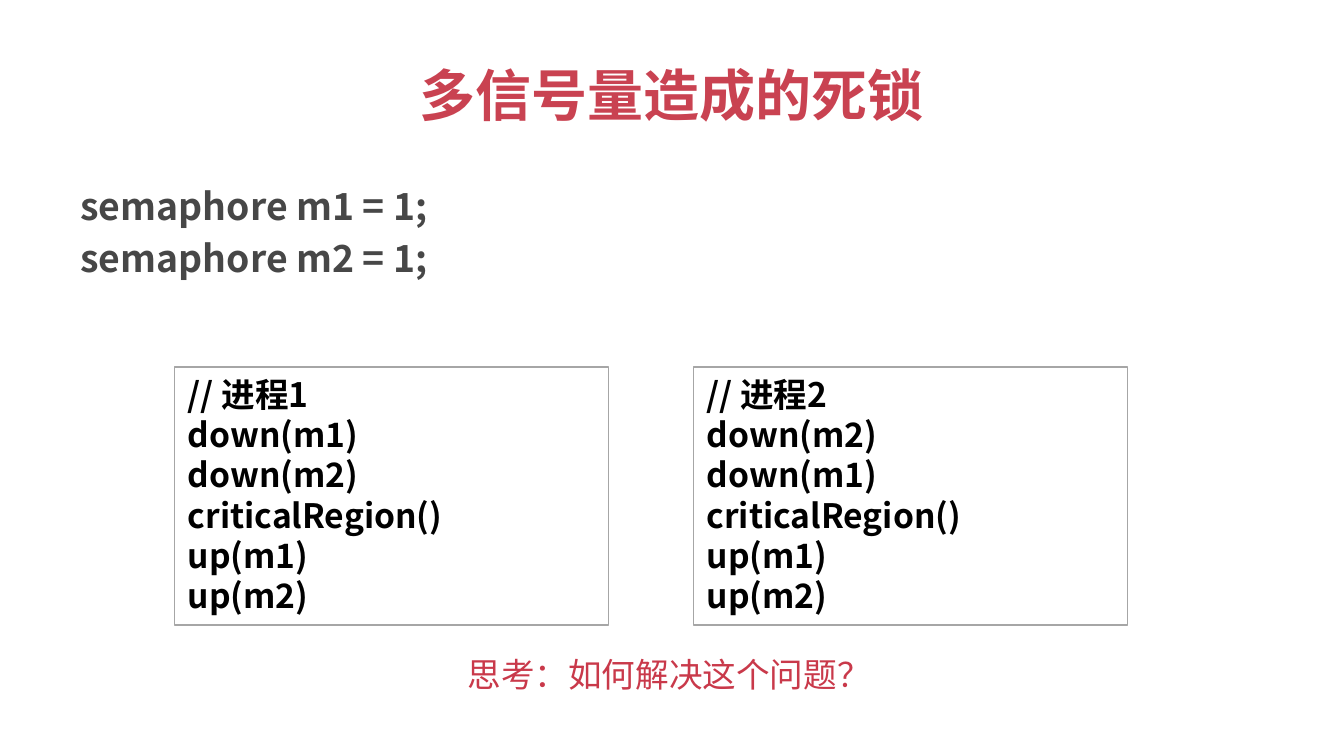
"""Build a slide on deadlock caused by several semaphores."""
from dataclasses import dataclass

from lxml.etree import SubElement
from pptx import Presentation
from pptx.dml.color import RGBColor as RGB
from pptx.enum.shapes import MSO_SHAPE as Shape
from pptx.enum.text import MSO_ANCHOR as Anchor, PP_ALIGN as Align
from pptx.oxml.ns import qn
from pptx.util import Inches, Pt

TITLE = "多信号量造成的死锁"
SETUP = ["semaphore m1 = 1;", "semaphore m2 = 1;"]
TASKS = [
    ["// 进程1 ", "down(m1)", "down(m2)", "criticalRegion()", "up(m1)", "up(m2)"],
    ["// 进程2 ", "down(m2)", "down(m1)", "criticalRegion()", "up(m1)", "up(m2)"],
]
ASK = ["思考：如何解决这个问题？"]


@dataclass(frozen=True)
class Theme:
    font: str = "Noto Sans CJK SC"
    title: str = "C94251"
    setup: str = "474747"
    code: str = "000000"
    ask: str = "C9394A"
    edge: str = "A6A6A6"
    big: int = 30
    mid: int = 20
    small: int = 18
    lead: float = 1.2


THEME = Theme()


def write(frame, lines, size, color, bold=True, align=Align.LEFT, gap=0):
    for i, line in enumerate(lines):
        para = frame.add_paragraph() if i else frame.paragraphs[0]
        para.alignment = align
        para.line_spacing = Pt(size * THEME.lead)
        para.space_before = Pt(gap if i else 0)
        run = para.add_run()
        run.text = line
        font = run.font
        font.name, font.size, font.bold = THEME.font, Pt(size), bold
        font.color.rgb = RGB.from_string(color)
        SubElement(font._element, qn("a:ea"), typeface=THEME.font)


def place(*box):
    return [Inches(n) for n in box]


deck = Presentation()
deck.slide_width, deck.slide_height = place(10, 10 * 9 / 16)
slide = deck.slides.add_slide(deck.slide_layouts[5])
shapes = slide.shapes

title = shapes.title
title.left, title.top, title.width, title.height = place(0.5, 0.23, 9, 0.94)
title.text_frame.vertical_anchor = Anchor.MIDDLE
write(title.text_frame, [TITLE], THEME.big, THEME.title, align=Align.CENTER)

setup = shapes.add_textbox(*place(0.5, 1.31, 3.56, 3.71)).text_frame
setup.word_wrap = True
write(setup, SETUP, THEME.mid, THEME.setup, gap=0.2 * THEME.mid)

LEFT, TOP, WIDE, HIGH, STEP = 1.3, 2.73, 3.23, 1.92, 3.86
for i, lines in enumerate(TASKS):
    box = shapes.add_shape(Shape.RECTANGLE, *place(LEFT + i * STEP, TOP, WIDE, HIGH))
    box.shadow.inherit = False
    box.fill.background()
    box.line.color.rgb = RGB.from_string(THEME.edge)
    box.line.width = Pt(0.75)
    box.text_frame.vertical_anchor = Anchor.TOP
    write(box.text_frame, lines, THEME.small, THEME.code)

ask = shapes.add_textbox(*place(3.38, 4.82, WIDE, 0.4)).text_frame
ask.word_wrap = False
write(ask, ASK, THEME.small, THEME.ask, bold=False)

deck.save("out.pptx")
